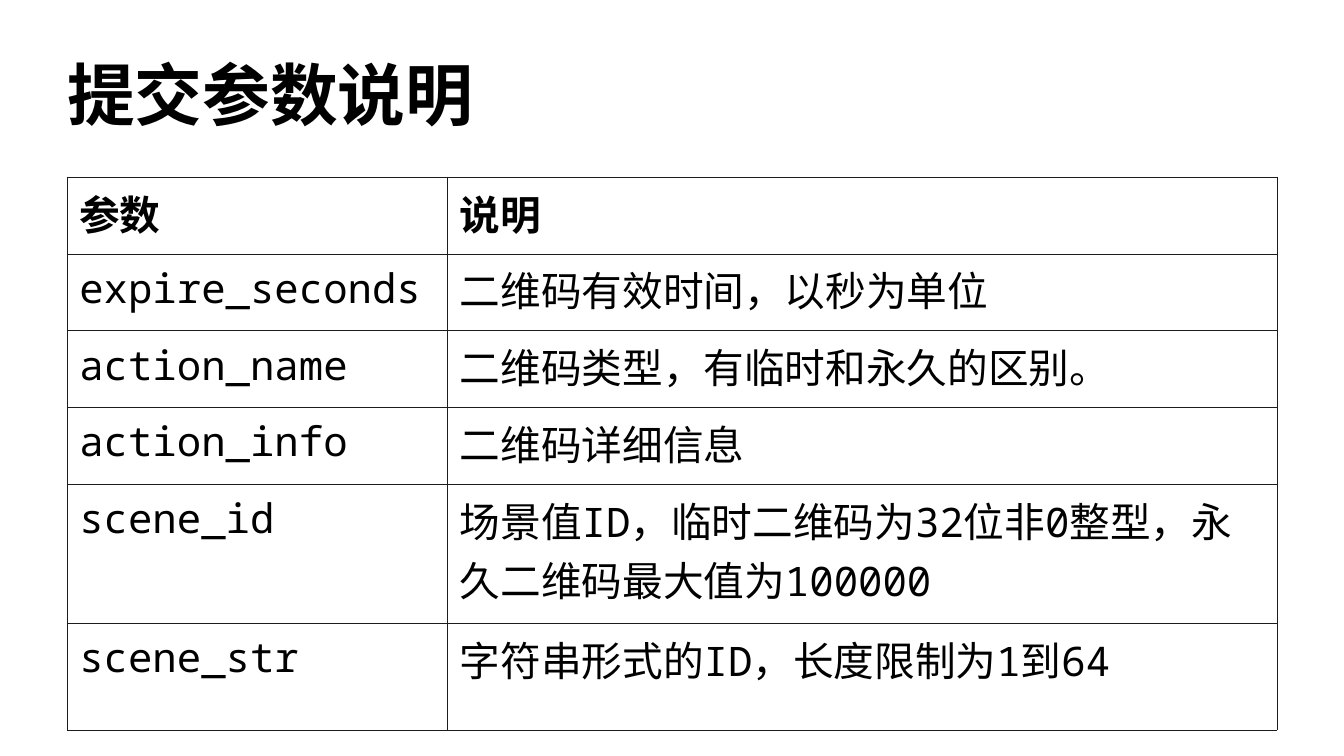
from lxml import etree
from pptx import Presentation
from pptx.dml.color import RGBColor
from pptx.enum import text
from pptx.oxml import ns
from pptx.util import Inches, Pt

TITLE = "提交参数说明"
ROWS = [
    ("参数", "说明"),
    ("expire_seconds", "二维码有效时间，以秒为单位"),
    ("action_name", "二维码类型，有临时和永久的区别。"),
    ("action_info", "二维码详细信息"),
    ("scene_id", "场景值ID，临时二维码为32位非0整型，永久二维码最大值为100000"),
    ("scene_str", "字符串形式的ID，长度限制为1到64"),
]
COL_WIDTHS = [3.12, 6.8]
ROW_HEIGHTS = [0.63] * 4 + [1.14, 0.88]
LEFT, WIDTH = 0.55, 9.92
BLACK = RGBColor(0, 0, 0)
BORDER = RGBColor(0x1C, 0x1C, 0x1C)
BORDER_WIDTH = Pt(0.06)


def add_run(p, words, font, size, bold):
    r = p.add_run()
    r.text = words
    r.font.name = font
    r.font.size = Pt(size)
    r.font.bold = bold
    r.font.color.rgb = BLACK


def add_borders(cell):
    tcPr = cell._tc.get_or_add_tcPr()
    for side in ("lnL", "lnR", "lnT", "lnB"):
        ln = etree.SubElement(tcPr, ns.qn("a:" + side), w=str(BORDER_WIDTH))
        fill = etree.SubElement(ln, ns.qn("a:solidFill"))
        etree.SubElement(fill, ns.qn("a:srgbClr"), val=str(BORDER))


def add_title(s):
    sp = s.shapes.add_textbox(Inches(LEFT), Inches(0.25), Inches(WIDTH), Inches(1.04))
    tf = sp.text_frame
    tf.word_wrap = True
    tf.vertical_anchor = text.MSO_ANCHOR.MIDDLE
    tf.margin_left = tf.margin_right = tf.margin_top = tf.margin_bottom = 0
    add_run(tf.paragraphs[0], TITLE, "DejaVu Sans Mono", 40, True)


def add_parameters(s):
    frame = s.shapes.add_table(len(ROWS), len(COL_WIDTHS), Inches(LEFT), Inches(1.45),
                               Inches(WIDTH), Inches(sum(ROW_HEIGHTS)))
    table = frame.table
    table.first_row = table.horz_banding = False
    for col, width in zip(table.columns, COL_WIDTHS):
        col.width = Inches(width)
    for i, (row, height, words) in enumerate(zip(table.rows, ROW_HEIGHTS, ROWS)):
        row.height = Inches(height)
        font = "Noto Sans Mono" if i else "Arial"
        for cell, word in zip(row.cells, words):
            cell.margin_left = cell.margin_right = Inches(0.1)
            cell.margin_top = cell.margin_bottom = Inches(0.05)
            add_borders(cell)
            cell.fill.background()
            add_run(cell.text_frame.paragraphs[0], word, font, 24, i == 0)


def main():
    prs = Presentation()
    prs.slide_width, prs.slide_height = Inches(11.02), Inches(6.2)
    s = prs.slides.add_slide(prs.slide_layouts[6])
    add_title(s)
    add_parameters(s)
    prs.save("out.pptx")


if __name__ == "__main__":
    main()
